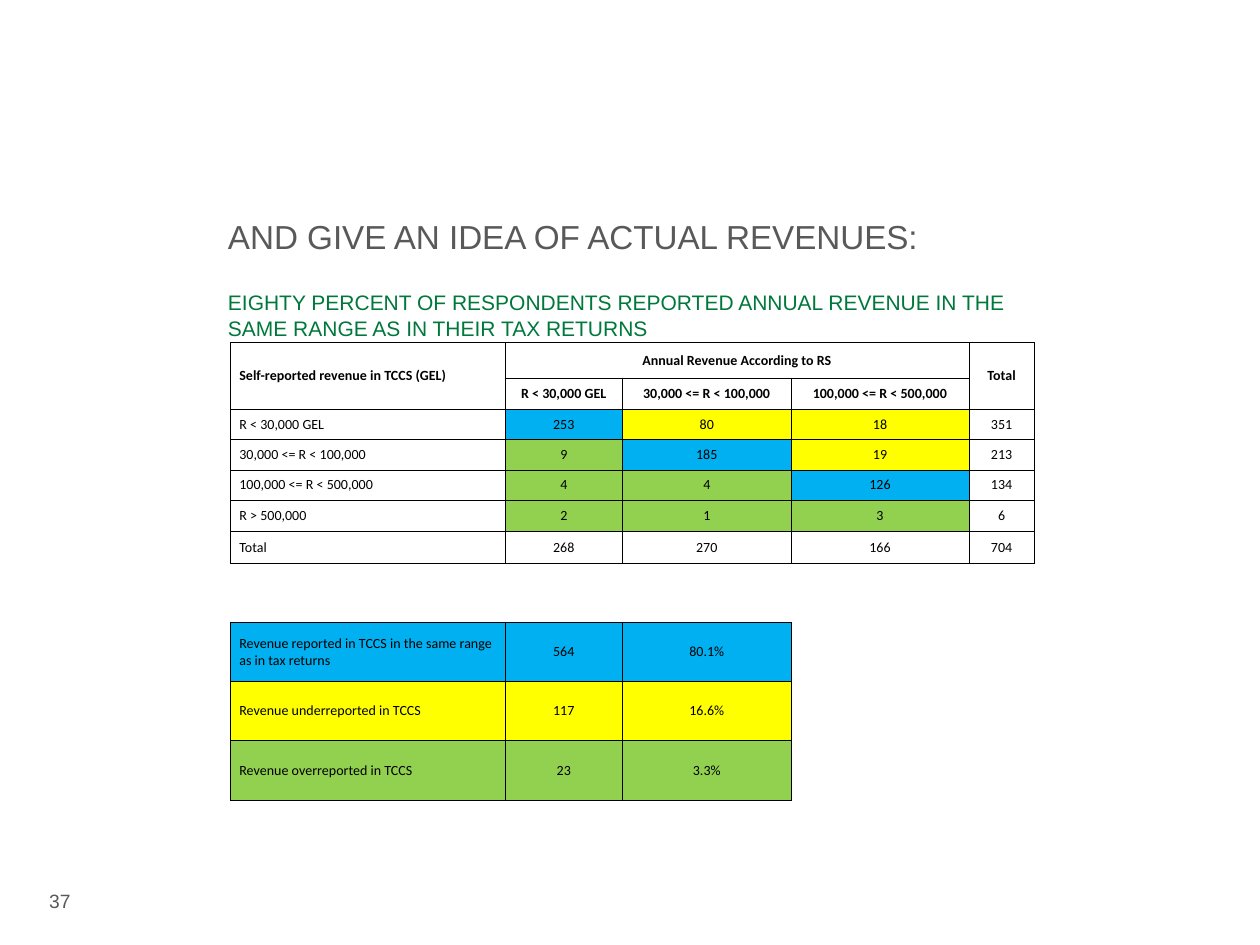
from lxml import etree
from pptx import Presentation
from pptx.dml.color import RGBColor
from pptx.enum.text import MSO_ANCHOR, PP_ALIGN
from pptx.oxml.ns import qn
from pptx.util import Inches, Pt

LEFT, CENTER = PP_ALIGN.LEFT, PP_ALIGN.CENTER
TOP, MIDDLE = MSO_ANCHOR.TOP, MSO_ANCHOR.MIDDLE
BLUE, YELLOW, GREEN = "00B0F0", "FFFF00", "92D050"
BLACK, GREY, DARK_GREEN = "000000", "595959", "00783C"
rgb = RGBColor.from_string


def write(para, text, size=8, font="Calibri", colour=BLACK, bold=False, align=LEFT):
    para.alignment = align
    span = para.add_run()
    span.text = text
    span.font.size = Pt(size)
    span.font.name = font
    span.font.bold = bold
    span.font.color.rgb = rgb(colour)


def add_frame(page, left, top, width, height, anchor):
    """Add a wrapping text box without margins and return its text frame."""
    box = page.shapes.add_textbox(Inches(left), Inches(top), Inches(width), Inches(height))
    frame = box.text_frame
    frame.word_wrap = True
    frame.vertical_anchor = anchor
    frame.margin_left = frame.margin_right = frame.margin_top = frame.margin_bottom = 0
    return frame


deck = Presentation()
deck.slide_width, deck.slide_height = Inches(10), Inches(7.5)
page = deck.slides.add_slide(deck.slide_layouts[6])

# Title and page number
title = add_frame(page, 1.81, 1.42, 6.37, 0.69, TOP)
title.margin_top = Inches(0.3)
write(title.paragraphs[0], "AND GIVE AN IDEA OF ACTUAL REVENUES:",
      size=19, font="Arial", colour=GREY)
subtitle = title.add_paragraph()
subtitle.space_before = Pt(19)
write(subtitle,
      "EIGHTY PERCENT OF RESPONDENTS REPORTED ANNUAL REVENUE IN THE "
      "SAME RANGE AS IN THEIR TAX RETURNS",
      size=12, font="Arial", colour=DARK_GREEN)
number = add_frame(page, 0.39, 6.95, 0.35, 0.4, MIDDLE)
write(number.paragraphs[0], "37", size=11, font="Arial", colour=GREY)

# Revenue table: cross-tabulation, spacer row, summary
LOW, MID, HIGH = "R < 30,000 GEL", "30,000 <= R < 100,000", "100,000 <= R < 500,000"
rows = [
    ["Self-reported revenue in TCCS (GEL)", "Annual Revenue According to RS", "", "", "Total"],
    ["", LOW, MID, HIGH, ""],
    [LOW, "253", "80", "18", "351"],
    [MID, "9", "185", "19", "213"],
    [HIGH, "4", "4", "126", "134"],
    ["R > 500,000", "2", "1", "3", "6"],
    ["Total", "268", "270", "166", "704"],
    ["", "", "", "", ""],
    ["Revenue reported in TCCS in the same range as in tax returns", "564", "80.1%", "", ""],
    ["Revenue underreported in TCCS", "117", "16.6%", "", ""],
    ["Revenue overreported in TCCS", "23", "3.3%", "", ""],
]
widths = [2.18, 0.93, 1.34, 1.41, 0.52]
heights = [0.28, 0.25, 0.24, 0.24, 0.24, 0.25, 0.25] + [0.47] * 4
HEADER_ROWS, SPACER_ROW, SUMMARY_COLUMNS = 2, 7, 3
summary_fills = [BLUE, YELLOW, GREEN]
sides = {"lnL": (0, -1), "lnR": (0, 1), "lnT": (-1, 0), "lnB": (1, 0)}
framed = {
    (r, c) for r in range(len(rows)) for c in range(len(widths))
    if r < SPACER_ROW or (r > SPACER_ROW and c < SUMMARY_COLUMNS)
}

table = page.shapes.add_table(
    len(rows), len(widths), Inches(1.83), Inches(2.72),
    Inches(sum(widths)), Inches(sum(heights))).table
table.first_row = table.horz_banding = False
for column, width in zip(table.columns, widths):
    column.width = Inches(width)
for row, height in zip(table.rows, heights):
    row.height = Inches(height)

for r, texts in enumerate(rows):
    for c, text in enumerate(texts):
        cell = table.cell(r, c)
        cell.vertical_anchor = MIDDLE
        cell.margin_left = Inches(0.07 if c == 0 else 0.01)
        cell.margin_right = Inches(0.01)
        if text:
            write(cell.text_frame.paragraphs[0], text,
                  bold=r < HEADER_ROWS, align=CENTER if c else LEFT)

        # A side is ruled when the cell or its neighbour there is framed
        properties = cell._tc.get_or_add_tcPr()
        for tag, (down, right) in sides.items():
            line = etree.SubElement(properties, qn(f"a:{tag}"), w=str(Pt(0.45)))
            if (r, c) in framed or (r + down, c + right) in framed:
                solid = etree.SubElement(line, qn("a:solidFill"))
                etree.SubElement(solid, qn("a:srgbClr"), val=BLACK)
            else:
                etree.SubElement(line, qn("a:noFill"))

        # Diagonal: same range; above it: underreported; below: overreported
        fill = None
        if HEADER_ROWS <= r < SPACER_ROW - 1 and 1 <= c <= 3:
            shift = c - 1 - (r - HEADER_ROWS)
            fill = BLUE if shift == 0 else YELLOW if shift > 0 else GREEN
        elif r > SPACER_ROW and c < SUMMARY_COLUMNS:
            fill = summary_fills[r - SPACER_ROW - 1]
        if fill:
            cell.fill.solid()
            cell.fill.fore_color.rgb = rgb(fill)
        else:
            cell.fill.background()

table.cell(0, 0).merge(table.cell(1, 0))
table.cell(0, 1).merge(table.cell(0, 3))
table.cell(0, 4).merge(table.cell(1, 4))

deck.save("out.pptx")
